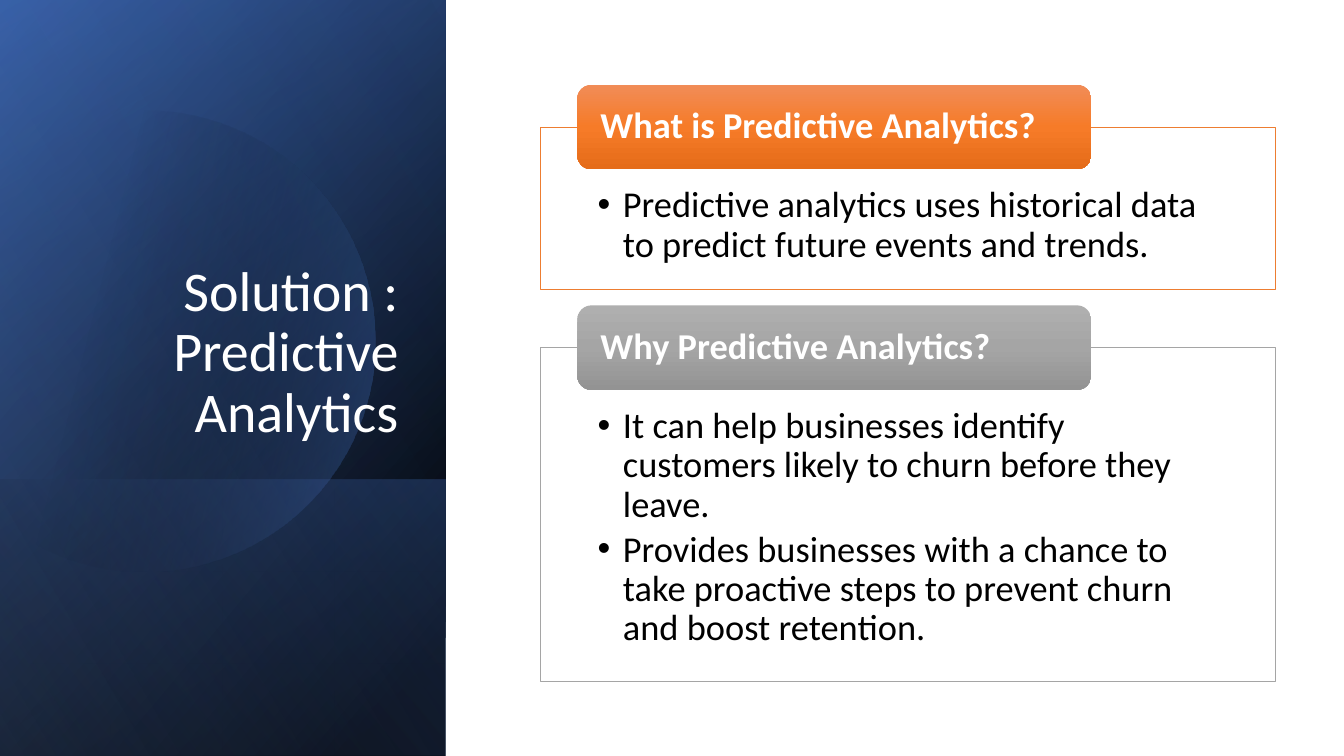
from dataclasses import dataclass
from typing import Any

from pptx import Presentation
from pptx.dml.color import RGBColor as Rgb
from pptx.enum.shapes import MSO_SHAPE as Kind
from pptx.enum.text import MSO_ANCHOR as Anchor, PP_ALIGN as Align
from pptx.oxml import parse_xml
from pptx.oxml.ns import nsdecls, qn
from pptx.util import Cm, Pt

# Colours
WHITE = Rgb(0xFF, 0xFF, 0xFF)
BLACK = Rgb(0x00, 0x00, 0x00)
NAVY = Rgb(0x2F, 0x55, 0x97)
BLUE = Rgb(0x44, 0x72, 0xC4)
SKY = Rgb(0x8F, 0xAA, 0xDC)
ORANGE = Rgb(0xED, 0x7D, 0x31)
GREY = Rgb(0xA5, 0xA5, 0xA5)
WARM = (Rgb(0xF1, 0x8C, 0x57), Rgb(0xF6, 0x7B, 0x28), Rgb(0xE5, 0x6C, 0x19))
COOL = (Rgb(0xAF, 0xAF, 0xAF), GREY, Rgb(0x93, 0x93, 0x93))

# Sizes in centimetres
WIDE, HIGH = 33.87, 19.05
SIDE = 11.23
BOX_X, BOX_W = 13.61, 18.52
TAB_X, TAB_W, TAB_H = 14.55, 12.95, 2.13

# Format values
TITLE = {"size": Pt(40), "name": "Calibri"}
HEAD = {"size": Pt(26), "name": "Calibri", "bold": True}
BODY = {"size": Pt(26), "name": "Calibri", "bold": False}


@dataclass
class Stop:
    place: int
    color: Rgb
    alpha: int = 100


@dataclass
class Panel:
    top: float
    high: float
    angle: int
    stops: list[Stop]


@dataclass
class Card:
    top: float
    high: float
    edge: Rgb
    tints: tuple[Rgb, Rgb, Rgb]
    head: str
    points: list[str]


BASE = Panel(0, HIGH, 50, [Stop(8, BLACK), Stop(100, NAVY)])
SHADE = Panel(0, HIGH, 30, [Stop(0, BLACK, 0), Stop(99, BLUE, 46)])
FOOT = Panel(12.09, 6.96, 130, [Stop(2, BLUE, 29), Stop(100, BLACK, 30)])
GLOW = Panel(0, HIGH, 120, [Stop(0, BLACK, 0), Stop(99, SKY, 11)])

# Circle outline: a start point, then curves of two handles and an end
START = (3.78, 2.79)
RIGHT = [
    ((6.25, 2.84), (8.51, 4.5), (9.22, 6.99)),
    ((10.11, 10.08), (8.33, 13.28), (5.26, 14.17)),
    ((3.33, 14.73), (1.35, 14.25), (0, 13.1)),
]
LEFT = [
    ((0.58, 3.61), (1.27, 3.25), (2.03, 3.02)),
    ((2.62, 2.87), (3.2, 2.79), START),
]

CARDS = [
    Card(3.2, 4.09, ORANGE, WARM, "What is Predictive Analytics?", [
        "Predictive analytics uses historical data to predict future events and trends.",
    ]),
    Card(8.76, 8.41, GREY, COOL, "Why Predictive Analytics?", [
        "It can help businesses identify customers likely to churn before they leave.",
        "Provides businesses with a chance to take proactive steps to prevent churn "
        "and boost retention.",
    ]),
]


def apply(item: Any, values: dict[str, Any]) -> None:
    for name, value in values.items():
        setattr(item, name, value)


def blend(shape: Any, stops: list[Stop], angle: int) -> None:
    """Give a shape a linear gradient and no line."""
    marks = "".join(
        f'<a:gs pos="{s.place * 1000}"><a:srgbClr val="{s.color}">'
        f'<a:alpha val="{s.alpha * 1000}"/></a:srgbClr></a:gs>'
        for s in stops
    )
    shape.shadow.inherit = False
    shape.fill.background()
    shape.line.fill.background()
    props = shape._element.spPr
    props.replace(props.find(qn("a:noFill")), parse_xml(
        f'<a:gradFill {nsdecls("a")} rotWithShape="1"><a:gsLst>{marks}</a:gsLst>'
        f'<a:lin ang="{angle * 60000}" scaled="0"/></a:gradFill>'
    ))


def draw_panel(shapes: Any, panel: Panel) -> None:
    """Draw a side panel as a mirrored rectangle on a quarter turn."""
    x = (SIDE - panel.high) / 2
    shape = shapes.add_shape(
        Kind.RECTANGLE, Cm(x), Cm(panel.top - x), Cm(panel.high), Cm(SIDE))
    shape.rotation = 90
    shape._element.spPr.xfrm.set("flipH", "1")
    blend(shape, panel.stops, panel.angle)


def trace(start: tuple, curves: list[tuple], steps: int = 24) -> list[tuple]:
    """Turn a chain of Bezier curves into points."""
    dots = [start]
    for one, two, end in curves:
        first = dots[-1]
        for n in range(1, steps + 1):
            t = n / steps
            u = 1 - t
            dots.append(tuple(
                u**3 * a + 3 * u * u * t * b + 3 * u * t * t * c + t**3 * d
                for a, b, c, d in zip(first, one, two, end)
            ))
    return dots


def draw_circle(shapes: Any) -> None:
    dots = trace(START, RIGHT) + trace((0, 4.09), LEFT)
    spots = [(Cm(x), Cm(y)) for x, y in dots]
    pen = shapes.build_freeform(*spots[0])
    pen.add_line_segments(spots[1:], close=True)
    blend(pen.convert_to_shape(), [Stop(29, BLACK, 0), Stop(100, BLUE, 43)], 14)


def write(shape: Any, lines: list[str], font: dict[str, Any], color: Rgb,
          frame: dict[str, Any], para: dict[str, Any], bullet: bool = False) -> None:
    text = shape.text_frame
    apply(text, {"word_wrap": True, **frame})
    for n, line in enumerate(lines):
        part = text.add_paragraph() if n else text.paragraphs[0]
        if bullet:
            props = part._p.get_or_add_pPr()
            props.set("marL", str(Cm(0.64)))
            props.set("indent", str(-Cm(0.64)))
            props.append(parse_xml(f'<a:buFont {nsdecls("a")} typeface="Arial"/>'))
            props.append(parse_xml(f'<a:buChar {nsdecls("a")} char="•"/>'))
        apply(part, {"line_spacing": 0.9, **para})
        run = part.add_run()
        run.text = line
        apply(run.font, font)
        run.font.color.rgb = color


def draw_card(shapes: Any, card: Card) -> None:
    # Framed box with bullets
    box = shapes.add_shape(
        Kind.RECTANGLE, Cm(BOX_X), Cm(card.top), Cm(BOX_W), Cm(card.high))
    box.shadow.inherit = False
    box.fill.solid()
    box.fill.fore_color.rgb = WHITE
    box.line.color.rgb = card.edge
    box.line.width = Pt(0.5)
    frame = {"margin_left": Cm(1.45), "margin_right": Cm(1.45), "margin_top": Cm(1.5),
             "margin_bottom": Cm(0.51), "vertical_anchor": Anchor.TOP}
    write(box, card.points, BODY, BLACK, frame,
          {"alignment": Align.LEFT, "space_after": Pt(4)}, bullet=True)

    # Heading tab across the top edge
    tab = shapes.add_shape(Kind.ROUNDED_RECTANGLE, Cm(TAB_X),
                           Cm(card.top - TAB_H / 2), Cm(TAB_W), Cm(TAB_H))
    blend(tab, [Stop(n * 50, tint) for n, tint in enumerate(card.tints)], 90)
    frame = {"margin_left": Cm(0.48), "margin_right": Cm(0.48), "margin_top": 0,
             "margin_bottom": 0, "vertical_anchor": Anchor.MIDDLE}
    write(tab, [card.head], HEAD, WHITE, frame, {"alignment": Align.LEFT})


def main() -> None:
    deck = Presentation()
    apply(deck, {"slide_width": Cm(WIDE), "slide_height": Cm(HIGH)})
    shapes = deck.slides.add_slide(deck.slide_layouts[6]).shapes

    # Side panel
    for panel in (BASE, SHADE, FOOT):
        draw_panel(shapes, panel)
    draw_circle(shapes)
    draw_panel(shapes, GLOW)

    # Title
    title = shapes.add_textbox(Cm(1.63), Cm(4.67), Cm(8.66), Cm(6.65))
    write(title, ["Solution : Predictive Analytics"], TITLE, WHITE,
          {"vertical_anchor": Anchor.BOTTOM}, {"alignment": Align.RIGHT})

    # Cards
    for card in CARDS:
        draw_card(shapes, card)
    deck.save("out.pptx")


if __name__ == "__main__":
    main()
